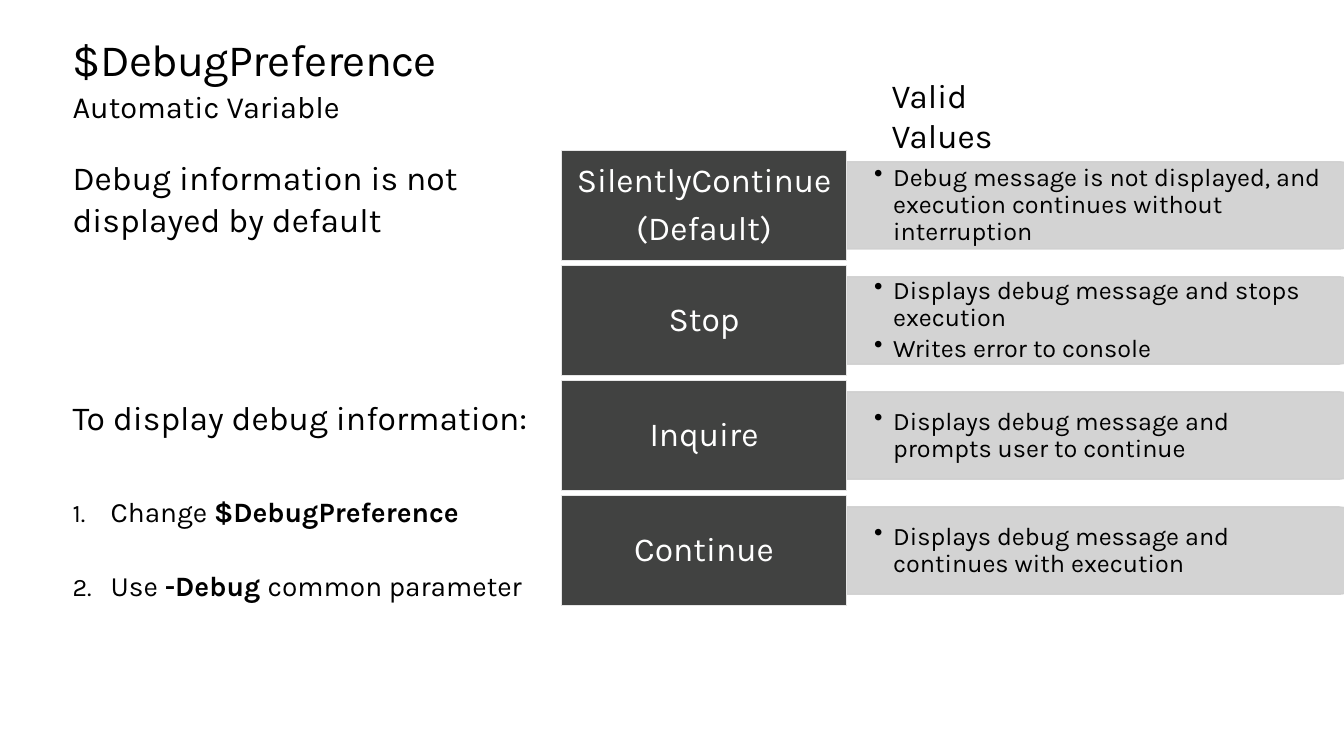
from lxml.etree import SubElement
from pptx import Presentation
from pptx.dml.color import RGBColor
from pptx.enum.shapes import MSO_SHAPE
from pptx.enum.text import MSO_ANCHOR, MSO_AUTO_SIZE, PP_ALIGN
from pptx.oxml.ns import qn
from pptx.util import Cm, Pt

BLACK = RGBColor(0x00, 0x00, 0x00)
WHITE = RGBColor(0xFF, 0xFF, 0xFF)
CHARCOAL = RGBColor(0x41, 0x42, 0x41)
PALE_GREY = RGBColor(0xE6, 0xE6, 0xE6)
BAR_GREY = RGBColor(0xCF, 0xCF, 0xCF)
FONT = "Karla"

VALUES = [
    (["SilentlyContinue", "(Default)"],
     ["Debug message is not displayed, and execution continues without interruption"]),
    (["Stop"],
     ["Displays debug message and stops execution", "Writes error to console"]),
    (["Inquire"], ["Displays debug message and prompts user to continue"]),
    (["Continue"], ["Displays debug message and continues with execution"]),
]
STEPS = [
    [("Change ", False), ("$DebugPreference", True)],
    [("Use ", False), ("-Debug ", True), ("common parameter", False)],
]


def set_frame(shape, horizontal=0, vertical=0, anchor=MSO_ANCHOR.TOP):
    """Set wrapping, margins and anchor of a shape's text and return its frame."""
    frame = shape.text_frame
    frame.auto_size = MSO_AUTO_SIZE.NONE
    frame.word_wrap = True
    frame.margin_left = frame.margin_right = Cm(horizontal)
    frame.margin_top = frame.margin_bottom = Cm(vertical)
    frame.vertical_anchor = anchor
    return frame


def add_text_box(slide, left, top, width, height, **frame_options):
    """Add a text box and return its frame."""
    box = slide.shapes.add_textbox(Cm(left), Cm(top), Cm(width), Cm(height))
    return set_frame(box, **frame_options)


def format_runs(paragraph, size, colour=BLACK):
    """Apply the slide's font to every run of a paragraph."""
    for run in paragraph.runs:
        run.font.name = FONT
        run.font.size = Pt(size)
        run.font.color.rgb = colour


def fill_paragraphs(frame, lines, size, colour=BLACK):
    """Write one formatted paragraph per line and return the paragraphs."""
    frame.text = "\n".join(lines)
    for paragraph in frame.paragraphs:
        format_runs(paragraph, size, colour)
    return frame.paragraphs


def set_marker(paragraph, indent, tag, **attributes):
    """Give a paragraph a hanging bullet or number."""
    properties = paragraph._p.get_or_add_pPr()
    properties.set("marL", str(Cm(indent)))
    properties.set("indent", str(-Cm(indent)))
    if tag == "a:buAutoNum":
        SubElement(properties, qn("a:buSzPct"), val="90000")
    SubElement(properties, qn(tag), **attributes)


def set_opacity(fill, percent):
    """Make a solid fill partly transparent."""
    colour = fill._xPr.find(qn("a:solidFill"))[0]
    SubElement(colour, qn("a:alpha"), val=str(percent * 1000))


def add_heading(slide, left, top, width):
    """Place the title and the subtitle beneath it."""
    title = slide.shapes.title
    title.left, title.top, title.width, title.height = Cm(left), Cm(top), Cm(width), Cm(1.27)
    frame = set_frame(title, anchor=MSO_ANCHOR.MIDDLE)
    paragraph = fill_paragraphs(frame, ["$DebugPreference"], 32)[0]
    paragraph.alignment = PP_ALIGN.LEFT
    paragraph.line_spacing = Pt(36.2)
    paragraph.runs[0].font._element.set("spc", "-50")
    subtitle = add_text_box(slide, left, top + 1.32, width, 1.27)
    fill_paragraphs(subtitle, ["Automatic Variable"], 22)


def add_explanation(slide, left, top, width, height):
    """Place the default behaviour and the numbered steps."""
    frame = add_text_box(slide, left, top, width, height)
    lines = ["Debug information is not displayed by default", "To display debug information:"]
    intro, instruction = fill_paragraphs(frame, lines, 24)
    intro.line_spacing = 1.04
    instruction.space_before = Pt(113)
    for step, gap in zip(STEPS, (40.5, 29.4)):
        paragraph = frame.add_paragraph()
        paragraph.space_before = Pt(gap)
        set_marker(paragraph, 0.96, "a:buAutoNum", type="arabicPeriod")
        for text, bold in step:
            run = paragraph.add_run()
            run.text = text
            run.font.bold = bold
        format_runs(paragraph, 20)


def add_bar(slide, left, top, width, height):
    """Place a bar rounded at its right end, turned from an upright shape."""
    bar = slide.shapes.add_shape(
        MSO_SHAPE.ROUND_2_SAME_RECTANGLE,
        Cm(left + (width - height) / 2), Cm(top + (height - width) / 2),
        Cm(height), Cm(width))
    bar.rotation = 90
    bar.shadow.inherit = False
    for fill in (bar.fill, bar.line.fill):
        fill.solid()
        fill.fore_color.rgb = BAR_GREY
        set_opacity(fill, 90)
    bar.line.width = Pt(1)


def add_value_row(slide, left, top, height, names, effects):
    """Place one valid value with the bar that describes it."""
    label_width, bar_height, text_height = 7.19, 2.2, 2.0
    bar_left = left + label_width
    add_bar(slide, bar_left, top + (height - bar_height) / 2, 12.78, bar_height)
    frame = add_text_box(
        slide, bar_left, top + (height - text_height) / 2, 12.65, text_height,
        horizontal=0.69, vertical=0.36, anchor=MSO_ANCHOR.MIDDLE)
    for paragraph in fill_paragraphs(frame, effects, 18):
        paragraph.line_spacing = 0.9
        paragraph.space_after = Pt(2.7)
        set_marker(paragraph, 0.48, "a:buChar", char="•")

    label = slide.shapes.add_shape(
        MSO_SHAPE.RECTANGLE, Cm(left), Cm(top), Cm(label_width), Cm(height))
    label.shadow.inherit = False
    label.fill.solid()
    label.fill.fore_color.rgb = CHARCOAL
    label.line.color.rgb = PALE_GREY
    label.line.width = Pt(1)
    frame = set_frame(label, 0.25, 0.13, MSO_ANCHOR.MIDDLE)
    for paragraph in fill_paragraphs(frame, names, 24, WHITE):
        paragraph.alignment = PP_ALIGN.CENTER
        paragraph.line_spacing = 0.9
        paragraph.space_after = Pt(8.4)


def add_valid_values(slide, left, top, pitch):
    """Place the caption and the rows of valid values."""
    for index, (names, effects) in enumerate(VALUES):
        add_value_row(slide, left, top + index * pitch, 2.77, names, effects)
    caption = add_text_box(
        slide, left + 8.07, top - 2.03, 4.67, 1.27, horizontal=0.25, vertical=0.13)
    fill_paragraphs(caption, ["Valid Values"], 24)


def main():
    """Build and save the slide."""
    presentation = Presentation()
    presentation.slide_width, presentation.slide_height = Cm(33.87), Cm(19.05)
    slide = presentation.slides.add_slide(presentation.slide_layouts[5])
    add_heading(slide, 1.83, 0.89, 12.09)
    add_explanation(slide, 1.83, 3.91, 12.09, 13.39)
    add_valid_values(slide, 14.15, 3.79, 2.9)
    presentation.save("out.pptx")


if __name__ == "__main__":
    main()
